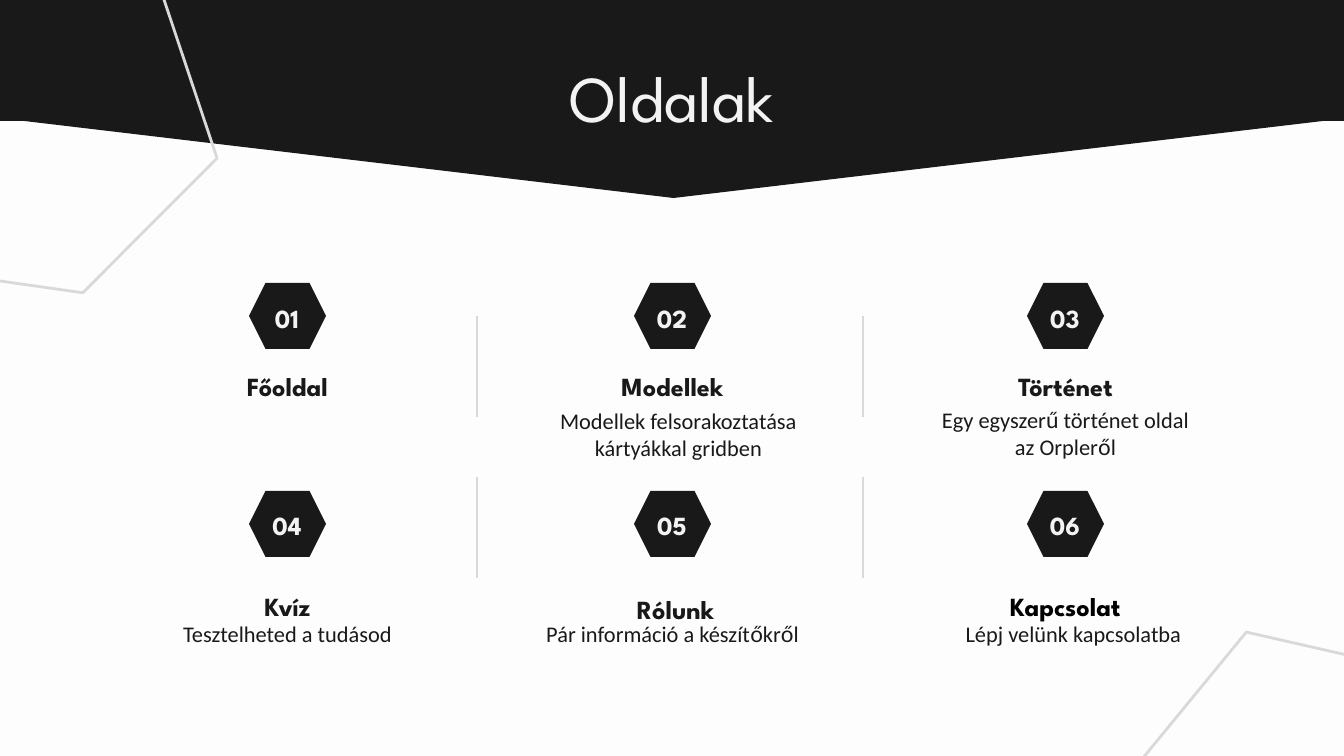
from dataclasses import dataclass
from itertools import groupby, product
from typing import NamedTuple

from lxml.etree import SubElement
from pptx import Presentation
from pptx.dml.color import RGBColor
from pptx.enum.shapes import MSO_CONNECTOR, MSO_SHAPE
from pptx.enum.text import MSO_ANCHOR, MSO_AUTO_SIZE, PP_ALIGN
from pptx.oxml.ns import qn
from pptx.util import Pt

EMU_PER_PX = 9144000 / 1344


@dataclass(frozen=True)
class Theme:
    paper: str = "FDFDFD"
    dark: str = "191919"
    black: str = "000000"
    light: str = "F3F3F3"
    rule: str = "D9D9D9"
    display: str = "League Spartan"
    body: str = "Calibri"
    accent_letters: str = "Lato"
    title_size: int = 35
    heading_size: int = 14
    note_size: int = 12
    rule_width: float = 1.5


class Box(NamedTuple):
    left: int
    top: int
    width: int
    height: int


class Row(NamedTuple):
    hexagon: int
    number: int
    heading: int
    note: int
    divider: int


@dataclass(frozen=True)
class Page:
    number: str
    heading: str
    note: str = ""
    heading_shift: tuple[int, int] = (0, 0)
    note_shift: tuple[int, int] = (0, 0)
    heading_color: str = "191919"


THEME = Theme()
COLUMNS = (287, 672, 1065)
DIVIDERS = (477, 863)
ROWS = (
    Row(hexagon=283, number=296, heading=344, note=393, divider=316),
    Row(hexagon=491, number=503, heading=564, note=607, divider=477),
)
PAGES = (
    Page("01", "Főoldal"),
    Page("02", "Modellek", "Modellek felsorakoztatása kártyákkal gridben", note_shift=(6, 1)),
    Page("03", "Történet", "Egy egyszerű történet oldal az Orpleről"),
    Page("04", "Kvíz", "Tesztelheted a tudásod"),
    Page("05", "Rólunk", "Pár információ a készítőkről", heading_shift=(3, 3)),
    Page("06", "Kapcsolat", "Lépj velünk kapcsolatba", note_shift=(8, 0),
         heading_color=THEME.black),
)


def px(length: float) -> int:
    return round(length * EMU_PER_PX)


def centered(x: int, top: int, width: int, height: int) -> Box:
    return Box(x - width // 2, top, width, height)


def place(box: Box) -> list[int]:
    return [px(length) for length in box]


def add_figure(slide, kind, box: Box, *, fill: str | None = None,
               line: str | None = None, rotation: float = 0):
    figure = slide.shapes.add_shape(kind, *place(box))
    figure.shadow.inherit = False
    figure.rotation = rotation
    if fill:
        figure.fill.solid()
        figure.fill.fore_color.rgb = RGBColor.from_string(fill)
    else:
        figure.fill.background()
    if line:
        figure.line.color.rgb = RGBColor.from_string(line)
        figure.line.width = Pt(THEME.rule_width)
    else:
        figure.line.fill.background()
    return figure


def add_divider(slide, x: int, top: int, height: int = 101) -> None:
    divider = slide.shapes.add_connector(
        MSO_CONNECTOR.STRAIGHT, px(x), px(top), px(x), px(top + height))
    divider.line.color.rgb = RGBColor.from_string(THEME.rule)
    divider.line.width = Pt(THEME.rule_width)
    SubElement(divider.element.spPr, qn("a:effectLst"))


def write(holder, text: str, *, size: int, color: str, font: str, bold: bool = False,
          anchor=MSO_ANCHOR.MIDDLE, accent_font: str | None = None) -> None:
    frame = holder.text_frame
    frame.word_wrap = True
    frame.auto_size = MSO_AUTO_SIZE.NONE
    frame.vertical_anchor = anchor
    frame.margin_left = frame.margin_right = px(13)
    frame.margin_top = frame.margin_bottom = px(13)
    paragraph = frame.paragraphs[0]
    paragraph.alignment = PP_ALIGN.CENTER
    for accented, letters in groupby(text, lambda letter: bool(accent_font) and letter in "őű"):
        run = paragraph.add_run()
        run.text = "".join(letters)
        run.font.name = accent_font if accented else font
        run.font.size = Pt(size)
        run.font.bold = bold
        run.font.color.rgb = RGBColor.from_string(color)


def add_text(slide, text: str, box: Box, **style) -> None:
    write(slide.shapes.add_textbox(*place(box)), text, **style)


def add_page(slide, page: Page, row: Row, x: int) -> None:
    add_figure(slide, MSO_SHAPE.HEXAGON, centered(x, row.hexagon, 77, 66), fill=THEME.dark)
    label = {"size": THEME.heading_size, "font": THEME.display, "bold": True}
    add_text(slide, page.number, centered(x, row.number, 110, 44), color=THEME.light, **label)
    dx, dy = page.heading_shift
    add_text(slide, page.heading, centered(x + dx, row.heading + dy, 235, 85),
             color=page.heading_color, **label)
    if page.note:
        dx, dy = page.note_shift
        add_text(slide, page.note, centered(x + dx, row.note + dy, 289, 85),
                 size=THEME.note_size, color=THEME.dark, font=THEME.body,
                 anchor=MSO_ANCHOR.TOP, accent_font=THEME.accent_letters)


def add_header(slide, text: str) -> None:
    add_figure(slide, MSO_SHAPE.ISOSCELES_TRIANGLE, Box(-1, 118, 1349, 80),
               fill=THEME.dark, rotation=180)
    add_figure(slide, MSO_SHAPE.RECTANGLE, Box(-1, -5, 1349, 126), fill=THEME.dark)
    title = slide.shapes.title
    title.left, title.top, title.width, title.height = place(Box(453, 44, 438, 101))
    write(title, text, size=THEME.title_size, color=THEME.light, font=THEME.display,
          anchor=MSO_ANCHOR.TOP)
    title.element.getparent().append(title.element)


def main() -> None:
    deck = Presentation()
    deck.slide_width, deck.slide_height = px(1344), px(756)
    slide = deck.slides.add_slide(deck.slide_layouts[5])
    slide.background.fill.solid()
    slide.background.fill.fore_color.rgb = RGBColor.from_string(THEME.paper)

    add_header(slide, "Oldalak")
    for page, (row, x) in zip(PAGES, product(ROWS, COLUMNS)):
        add_page(slide, page, row, x)
    for row, x in product(ROWS, DIVIDERS):
        add_divider(slide, x, row.divider)
    for corner, rotation in ((Box(-203, -83, 434, 340), 71.5),
                             (Box(1077, 672, 434, 340), 309.4)):
        add_figure(slide, MSO_SHAPE.HEXAGON, corner, line=THEME.rule, rotation=rotation)
    deck.save("out.pptx")


if __name__ == "__main__":
    main()
